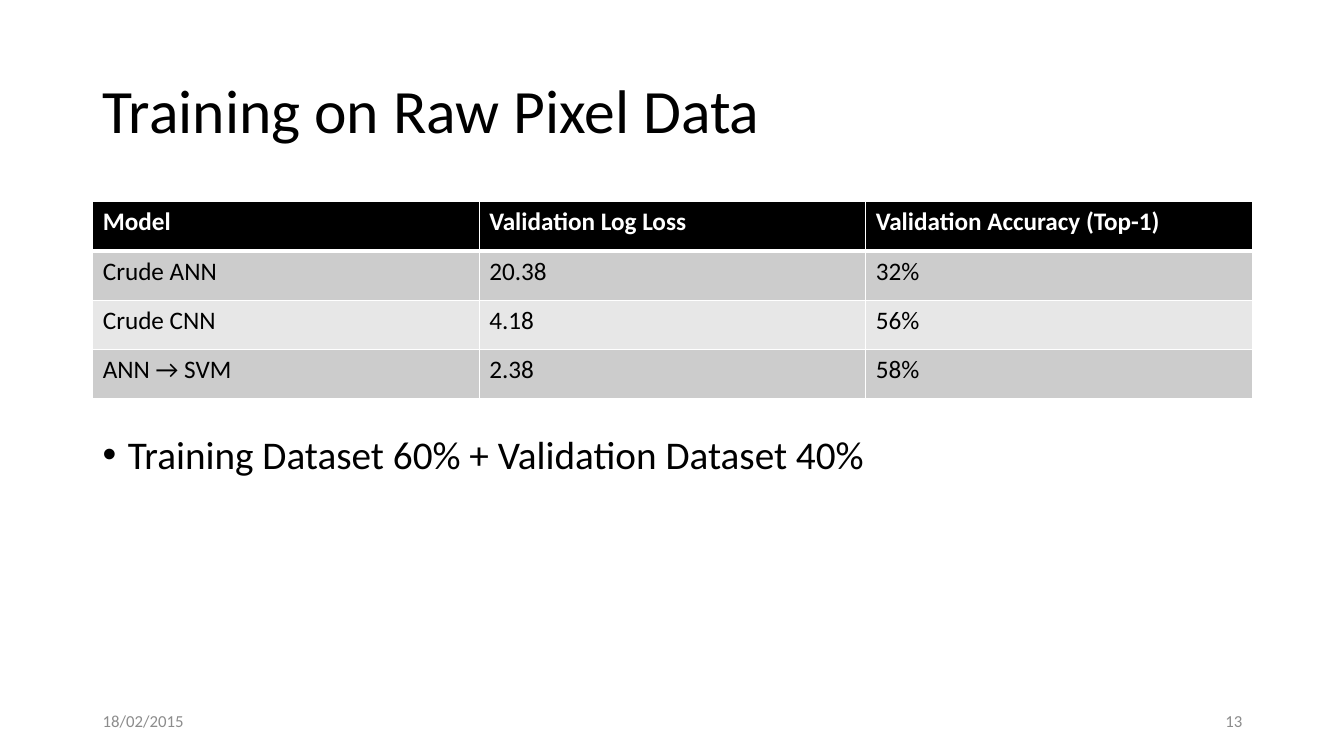
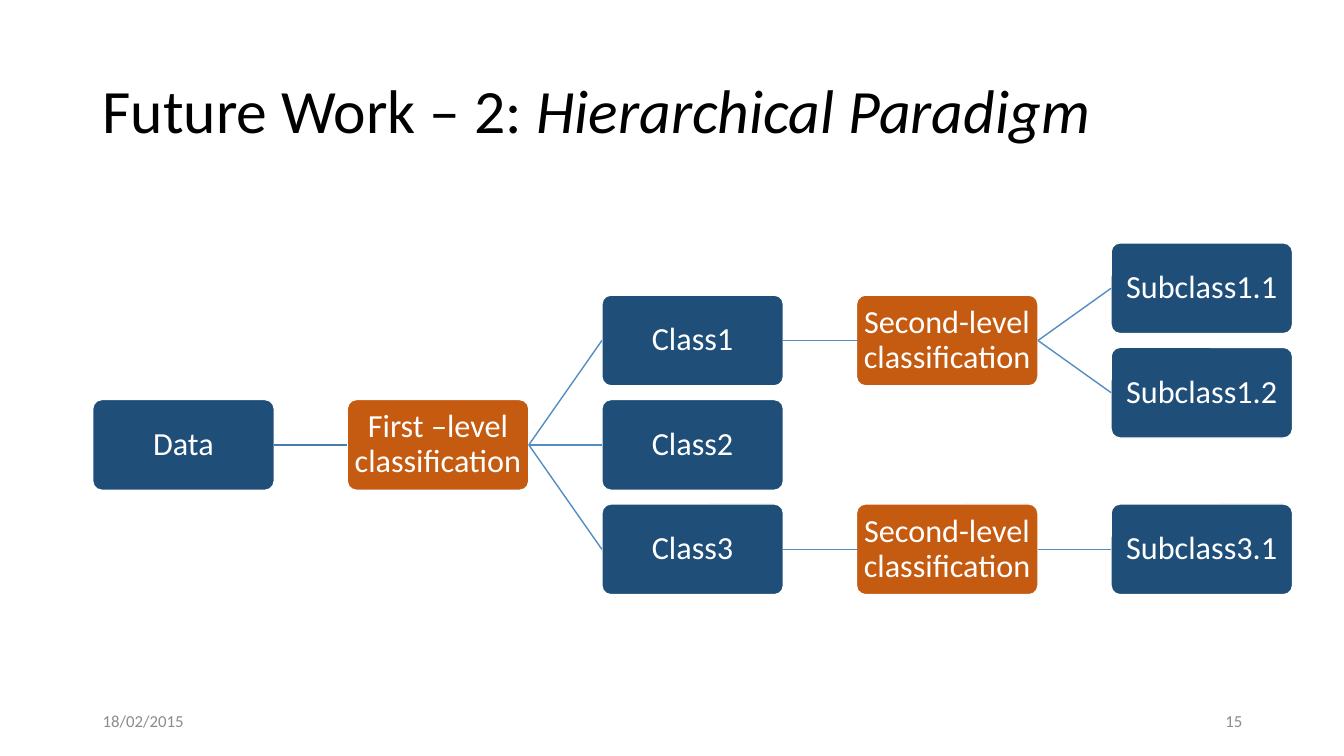
from dataclasses import dataclass
from typing import Optional

from lxml import etree
from pptx import Presentation
from pptx.dml.color import RGBColor
from pptx.enum import shapes, text
from pptx.oxml import ns
from pptx.util import Inches, Pt

FONT = "Calibri"
COLORS = {
    "black": "000000",
    "white": "FFFFFF",
    "footer": "8C8C8C",
    "band_dark": "CCCCCC",
    "band_light": "E7E7E7",
    "category": "1F4E79",
    "classifier": "C55A11",
    "first_link": "497CAB",
    "link": "538DC1",
}
LEFT, WIDTH = 0.92, 11.5
DATE = "18/02/2015"

RESULTS = [
    ("Model", "Validation Log Loss", "Validation Accuracy (Top-1)"),
    ("Crude ANN", "20.38", "32%"),
    ("Crude CNN", "4.18", "56%"),
    ("ANN → SVM", "2.38", "58%"),
]
TABLE_TOP, ROW_HEIGHT = 2, 0.49

NODE_WIDTH, NODE_HEIGHT = 1.8, 0.9
TREE_TOP = 2.41
COLUMN_STEP = (11.02 - LEFT) / 4
HALF_ROW = (5 - TREE_TOP) / 5


@dataclass(frozen=True)
class Span:
    text: str
    italic: bool = False


@dataclass(frozen=True)
class Node:
    """A tree box; row counts half steps and parent is an index in TREE."""
    label: str
    column: int
    row: int
    parent: Optional[int] = None


TREE = [
    Node("Data", 0, 3),
    Node("First –level classification", 1, 3, 0),
    Node("Class1", 2, 1, 1),
    Node("Class2", 2, 3, 1),
    Node("Class3", 2, 5, 1),
    Node("Second-level classification", 3, 1, 2),
    Node("Second-level classification", 3, 5, 4),
    Node("Subclass1.1", 4, 0, 5),
    Node("Subclass1.2", 4, 2, 5),
    Node("Subclass3.1", 4, 5, 6),
]


def rgb(name: str) -> RGBColor:
    return RGBColor.from_string(COLORS[name])


def style(para, size: float, color: str, bold: bool = False) -> None:
    para.font.name = FONT
    para.font.size = Pt(size)
    para.font.bold = bold
    para.font.color.rgb = rgb(color)


def add_text(page, spans: list[Span], left: float, top: float, width: float,
             height: float, size: float, color: str = "black",
             anchor=text.MSO_ANCHOR.MIDDLE, align=text.PP_ALIGN.LEFT):
    box = page.shapes.add_textbox(Inches(left), Inches(top), Inches(width), Inches(height))
    box.text_frame.word_wrap = True
    box.text_frame.vertical_anchor = anchor
    para = box.text_frame.paragraphs[0]
    para.alignment = align
    style(para, size, color)
    for span in spans:
        run = para.add_run()
        run.text = span.text
        if span.italic:
            run.font.italic = True
    return para


def add_page(deck, title: list[Span], number: int):
    """Add a page with its title, date and page number."""
    page = deck.slides.add_slide(deck.slide_layouts[6])
    add_text(page, title, LEFT, 0.4, WIDTH, 1.45, 44).line_spacing = 0.9
    add_text(page, [Span(DATE)], LEFT, 6.95, 3, 0.4, 12, "footer")
    add_text(page, [Span(str(number))], LEFT + WIDTH - 3, 6.95, 3, 0.4, 12, "footer",
             align=text.PP_ALIGN.RIGHT)
    return page


def set_border(cell, side: str, width: float) -> None:
    line = etree.SubElement(cell._tc.get_or_add_tcPr(), ns.qn(f"a:ln{side}"), w=str(Pt(width)))
    fill = etree.SubElement(line, ns.qn("a:solidFill"))
    etree.SubElement(fill, ns.qn("a:srgbClr"), val=COLORS["white"])


def add_results(page) -> None:
    row_count, column_count = len(RESULTS), len(RESULTS[0])
    table = page.shapes.add_table(
        row_count, column_count, Inches(LEFT), Inches(TABLE_TOP),
        Inches(WIDTH), Inches(ROW_HEIGHT * row_count)).table
    for r, values in enumerate(RESULTS):
        header = r == 0
        fill = "black" if header else "band_dark" if r % 2 else "band_light"
        widths = {"L": 1, "R": 1, "T": 3 if r == 1 else 1, "B": 3 if header else 1}
        for c, value in enumerate(values):
            cell = table.cell(r, c)
            cell.text = value
            style(cell.text_frame.paragraphs[0], 18, "white" if header else "black", header)
            for side, width in widths.items():
                set_border(cell, side, width)
            cell.fill.solid()
            cell.fill.fore_color.rgb = rgb(fill)


def add_bullet(page, wording: str, top: float) -> None:
    para = add_text(page, [Span(wording)], LEFT, top, WIDTH, 6.76 - top, 28,
                    anchor=text.MSO_ANCHOR.TOP)
    para.line_spacing = 0.9
    properties = para._p.get_or_add_pPr()
    properties.set("marL", str(Inches(0.25)))
    properties.set("indent", str(Inches(-0.25)))
    etree.SubElement(properties, ns.qn("a:buFont"), typeface="Arial")
    etree.SubElement(properties, ns.qn("a:buChar"), char="•")


def add_node(page, node: Node):
    box = page.shapes.add_shape(
        shapes.MSO_SHAPE.ROUNDED_RECTANGLE,
        Inches(LEFT + COLUMN_STEP * node.column), Inches(TREE_TOP + HALF_ROW * node.row),
        Inches(NODE_WIDTH), Inches(NODE_HEIGHT))
    box.adjustments[0] = 0.1
    box.shadow.inherit = False
    box.fill.solid()
    box.fill.fore_color.rgb = rgb("classifier" if node.column % 2 else "category")
    box.line.color.rgb = rgb("white")
    box.line.width = Pt(1)
    frame = box.text_frame
    frame.word_wrap = True
    frame.vertical_anchor = text.MSO_ANCHOR.MIDDLE
    frame.margin_left = frame.margin_right = Inches(0.04)
    frame.margin_top = frame.margin_bottom = Inches(0.04)
    para = frame.paragraphs[0]
    para.text = node.label
    para.alignment = text.PP_ALIGN.CENTER
    para.line_spacing = 0.9
    style(para, 23, "white")
    return box


def add_link(page, parent, child, color: str) -> None:
    """Join the right side of the parent to the left side of the child."""
    link = page.shapes.add_connector(shapes.MSO_CONNECTOR.STRAIGHT, 0, 0, 0, 0)
    link.begin_connect(parent, 3)
    link.end_connect(child, 1)
    link.line.color.rgb = rgb(color)
    link.line.width = Pt(1)
    etree.SubElement(link._element.spPr, ns.qn("a:effectLst"))


def add_tree(page) -> None:
    boxes = [add_node(page, node) for node in TREE]
    for node, box in zip(TREE, boxes):
        if node.parent is not None:
            color = "first_link" if node.parent == 0 else "link"
            add_link(page, boxes[node.parent], box, color)


def main() -> None:
    deck = Presentation()
    deck.slide_width, deck.slide_height = Inches(13.33), Inches(7.5)

    page = add_page(deck, [Span("Training on Raw Pixel Data")], 13)
    add_results(page)
    add_bullet(page, "Training Dataset 60% + Validation Dataset 40%", 4.27)

    page = add_page(deck, [Span("Future Work – 2: "), Span("Hierarchical Paradigm", True)], 15)
    add_tree(page)

    deck.save("out.pptx")


if __name__ == "__main__":
    main()
